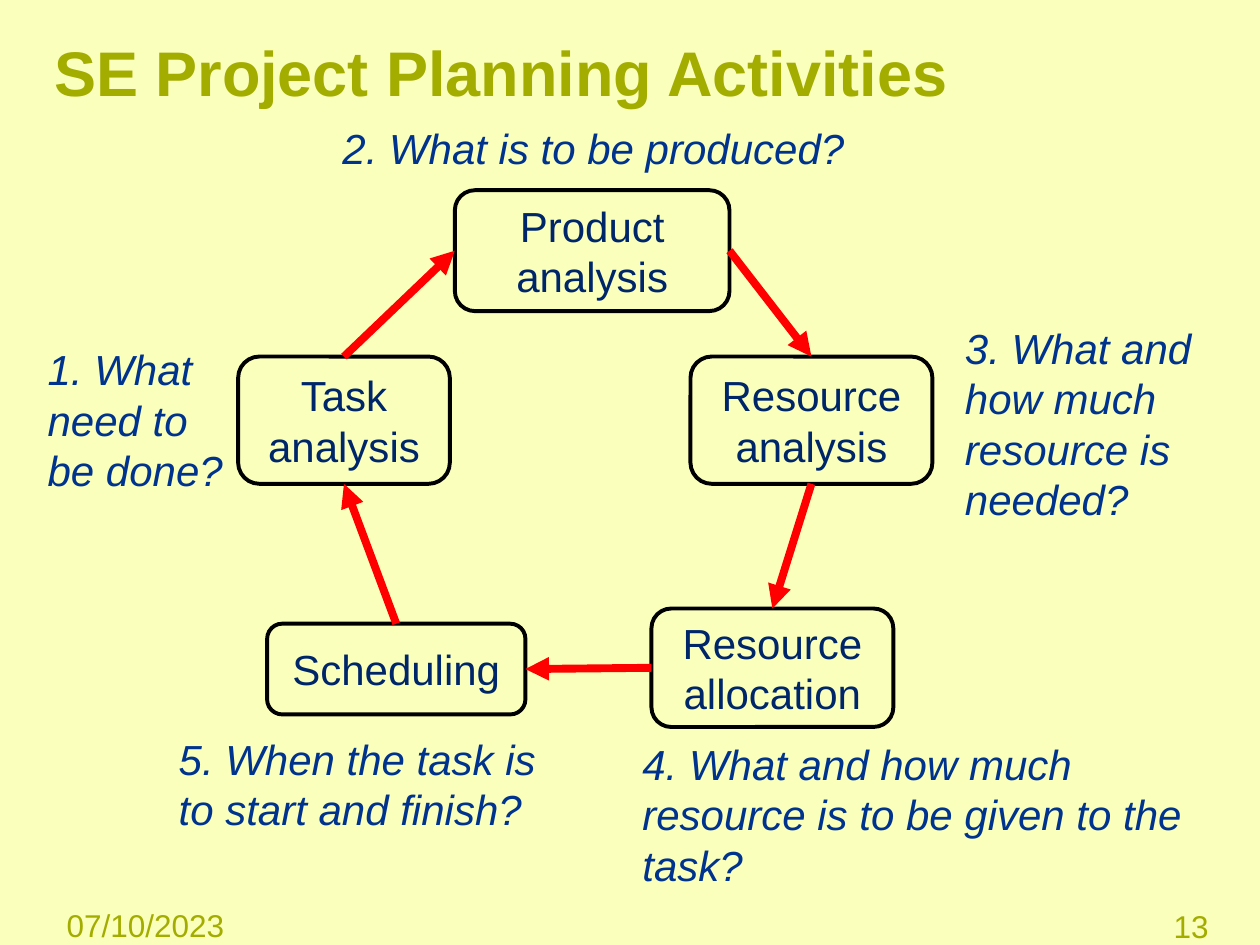
import pptx
import pptx.util
from pptx.dml.color import RGBColor
from pptx.enum.shapes import MSO_CONNECTOR, MSO_SHAPE
from pptx.enum.text import MSO_ANCHOR, PP_ALIGN
from pptx.oxml.ns import qn
from lxml import etree

Inches, Pt = pptx.util.Inches, pptx.util.Pt

CREAM = RGBColor(0xFB, 0xFF, 0xBC)
OLIVE = RGBColor(0xA2, 0xAD, 0x00)
NAVY = RGBColor(0x00, 0x26, 0x6A)
BLUE = RGBColor(0x00, 0x33, 0x8E)
RED = RGBColor(0xFF, 0x00, 0x00)
BLACK = RGBColor(0, 0, 0)

TOP, LEFT, BOTTOM, RIGHT = range(4)

TITLE = ("SE Project Planning Activities", (0.43, 0.21, 9.25, 0.71))
DATE = ("07/10/2023", (0.43, 7.14, 1.87, 0.36))
PAGE_NUMBER = ("13", (8.85, 7.15, 0.84, 0.36))

ACTIVITIES = [
    ("Task analysis", (1.89, 2.83, 1.68, 1.01)),
    ("Product analysis", (3.61, 1.51, 2.18, 0.96)),
    ("Resource analysis", (5.48, 2.83, 1.92, 1.01)),
    ("Resource allocation", (5.17, 4.83, 1.92, 0.94)),
    ("Scheduling", (2.12, 4.95, 2.05, 0.72)),
]
# Side left and side reached by the arrow from each activity to the next
ARROW_SIDES = [(TOP, LEFT), (RIGHT, TOP), (BOTTOM, TOP), (LEFT, RIGHT), (TOP, BOTTOM)]

QUESTIONS = [
    ("1. What need to be done?", (0.28, 2.68, 1.68, 1.31)),
    ("2. What is to be produced?", (2.62, 0.92, 4.53, 0.5)),
    ("3. What and how much resource is needed?", (7.56, 2.51, 2.12, 1.72)),
    ("4. What and how much resource is to be given to the task?", (5, 5.81, 4.69, 1.31)),
    ("5. When the task is to start and finish?", (1.32, 5.77, 3.04, 0.91)),
]


def write(shape, text, size, color, align=PP_ALIGN.LEFT, **styles):
    frame = shape.text_frame
    frame.word_wrap = True
    paragraph = frame.paragraphs[0]
    paragraph.alignment = align
    run = paragraph.add_run()
    run.text = text
    run.font.color.rgb = color
    for attribute, value in {"name": "Arial", "size": Pt(size), **styles}.items():
        setattr(run.font, attribute, value)
    return frame


def add_text(slide, content, size, color, **styles):
    text, box = content
    return write(slide.shapes.add_textbox(*map(Inches, box)), text, size, color, **styles)


def add_activity(slide, text, box):
    activity = slide.shapes.add_shape(MSO_SHAPE.ROUNDED_RECTANGLE, *map(Inches, box))
    activity.shadow.inherit = False
    activity.fill.background()
    activity.line.color.rgb = BLACK
    activity.line.width = Pt(2.25)
    write(activity, text, 24, NAVY, PP_ALIGN.CENTER)
    return activity


def add_arrow(slide, start, start_side, end, end_side):
    arrow = slide.shapes.add_connector(MSO_CONNECTOR.STRAIGHT, 0, 0, 0, 0)
    arrow.begin_connect(start, start_side)
    arrow.end_connect(end, end_side)
    arrow.line.color.rgb = RED
    arrow.line.width = Pt(4.5)
    etree.SubElement(arrow.line._get_or_add_ln(), qn("a:tailEnd"), type="triangle")
    etree.SubElement(arrow._element.spPr, qn("a:effectLst"))


def main():
    deck = pptx.Presentation()
    deck.slide_width, deck.slide_height = Inches(10), Inches(7.5)
    slide = deck.slides.add_slide(deck.slide_layouts[6])
    slide.background.fill.solid()
    slide.background.fill.fore_color.rgb = CREAM

    title = add_text(slide, TITLE, 36, OLIVE, bold=True)
    title.margin_left = 0
    title.vertical_anchor = MSO_ANCHOR.MIDDLE

    activities = [add_activity(slide, *activity) for activity in ACTIVITIES]
    following = activities[1:] + activities[:1]
    for start, end, (start_side, end_side) in zip(activities, following, ARROW_SIDES):
        add_arrow(slide, start, start_side, end, end_side)

    for question in QUESTIONS:
        add_text(slide, question, 24, BLUE, italic=True)
    add_text(slide, DATE, 18, OLIVE)
    add_text(slide, PAGE_NUMBER, 18, OLIVE, align=PP_ALIGN.RIGHT)

    deck.save("out.pptx")


if __name__ == "__main__":
    main()
